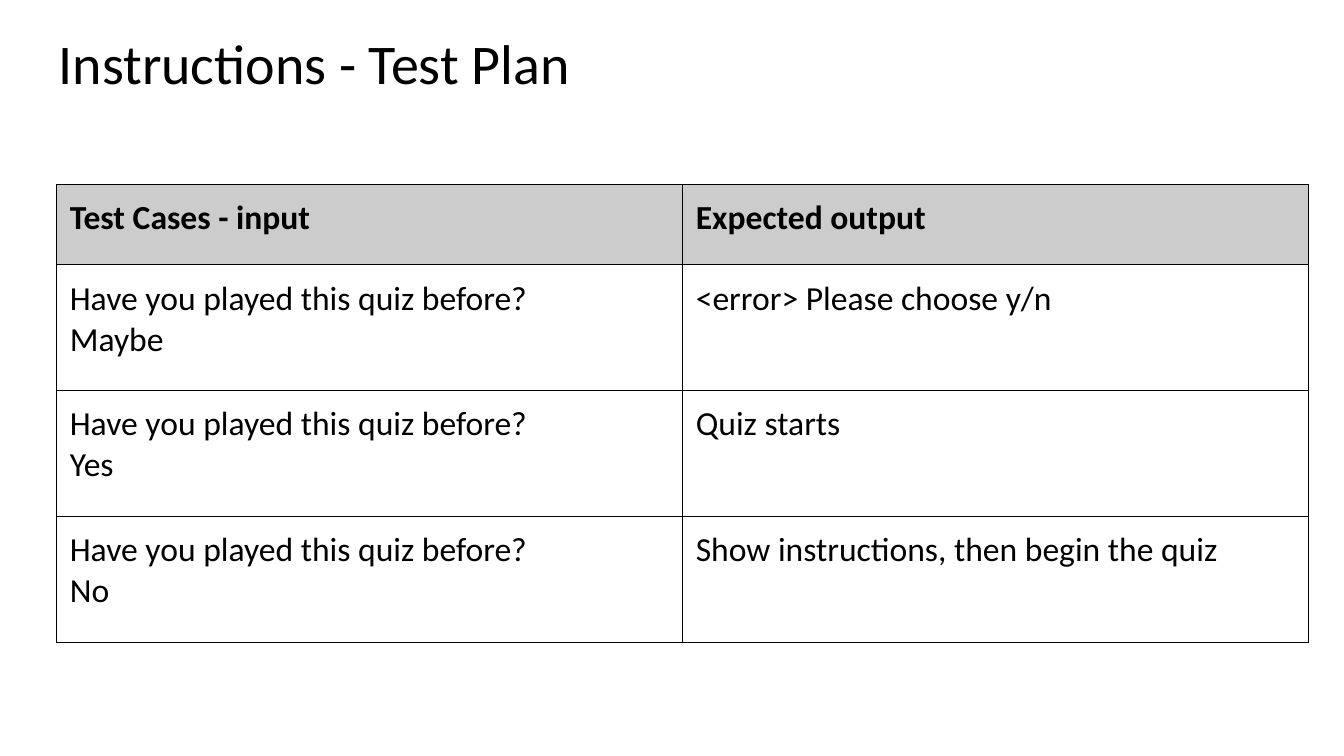
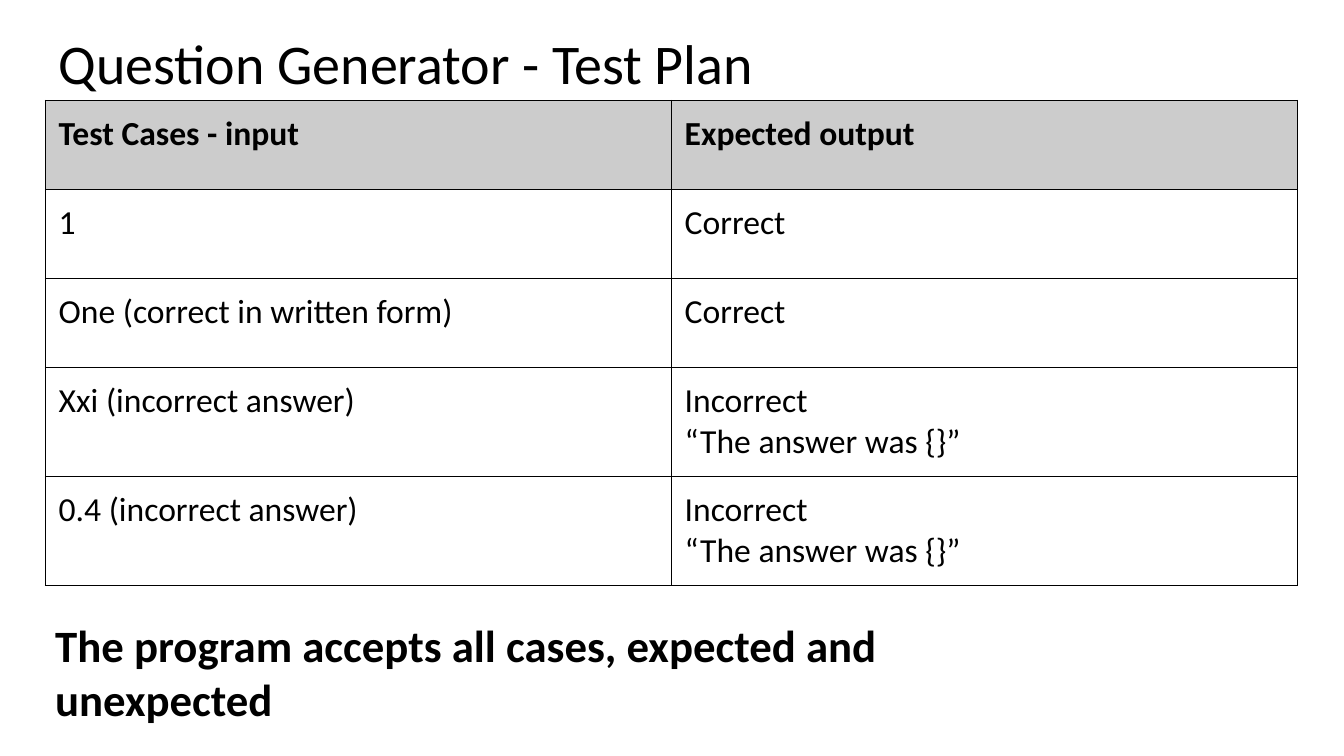
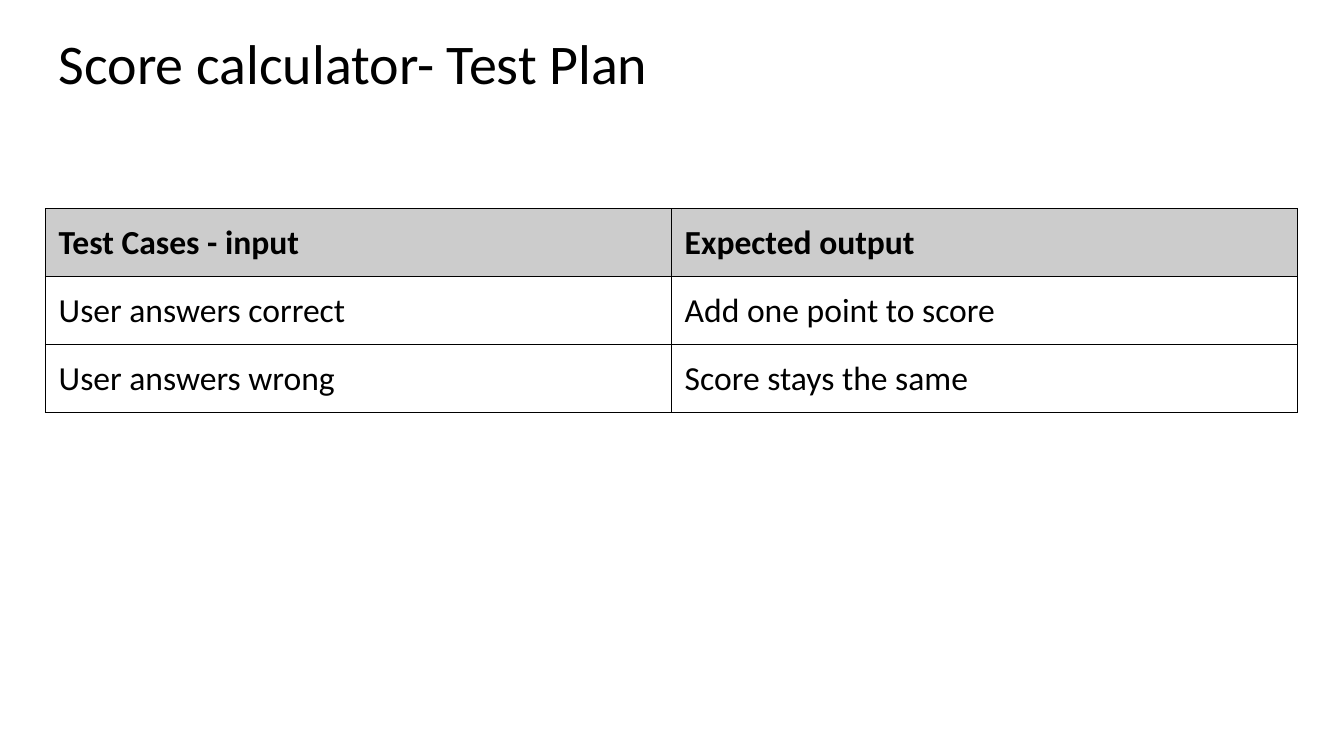
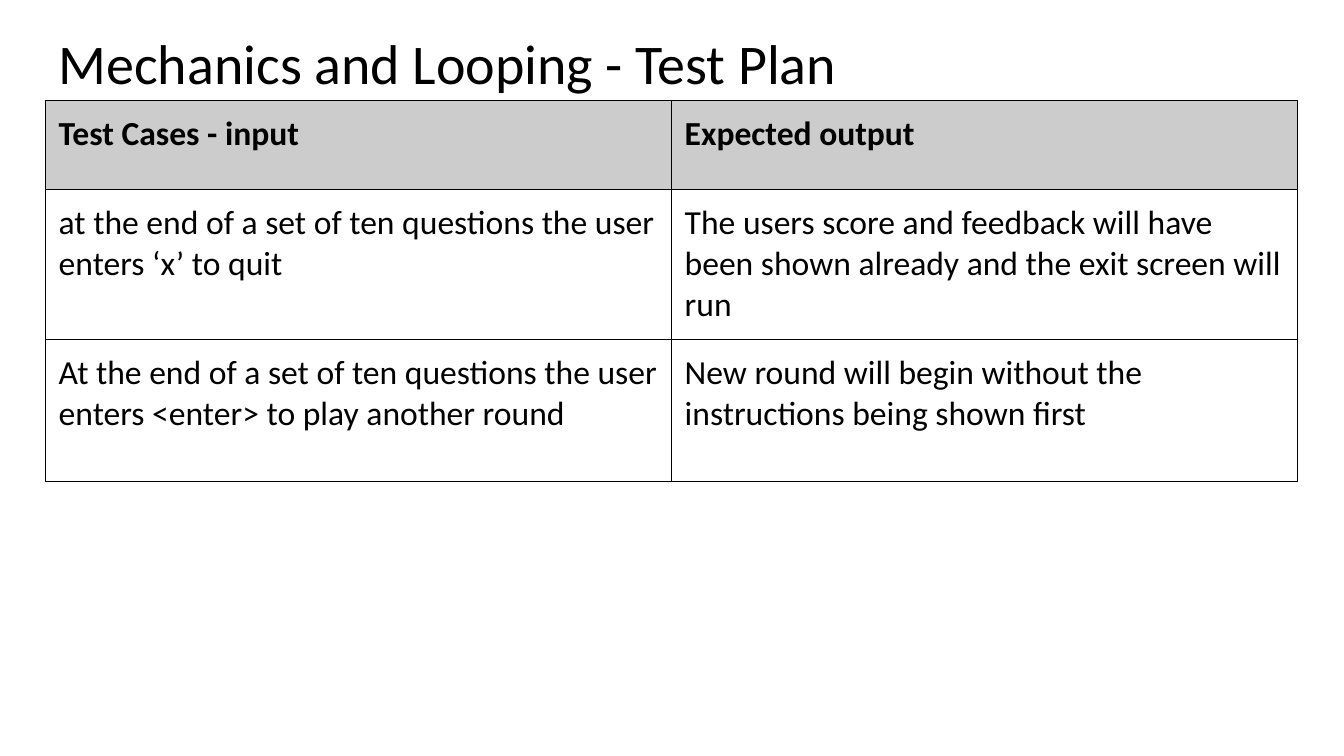
from collections import namedtuple
from dataclasses import dataclass

from lxml import etree
from pptx import Presentation
from pptx.dml.color import RGBColor
from pptx.enum.text import MSO_ANCHOR, MSO_AUTO_SIZE, PP_ALIGN
from pptx.oxml.ns import qn
from pptx.util import Cm, Pt

LEFT = PP_ALIGN.LEFT
TOP, MIDDLE = MSO_ANCHOR.TOP, MSO_ANCHOR.MIDDLE
NO_AUTOFIT, GROW = MSO_AUTO_SIZE.NONE, MSO_AUTO_SIZE.SHAPE_TO_FIT_TEXT
TITLE_ONLY = 5

Box = namedtuple("Box", "left top width height")


@dataclass(frozen=True)
class Theme:
    font: str = "Calibri"
    ink: RGBColor = RGBColor(0x00, 0x00, 0x00)
    header_fill: RGBColor = RGBColor(0xCC, 0xCC, 0xCC)
    cell_fill: RGBColor = RGBColor(0xFF, 0xFF, 0xFF)
    title_size: int = Pt(40)
    table_size: int = Pt(24)
    note_size: int = Pt(32)
    border: int = Pt(0.75)
    inset: int = Cm(0.34)


THEME = Theme()
TITLE_BOX = Box(Cm(1.14), Cm(0.61), Cm(31.55), Cm(2.13))
NOTE_BOX = Box(Cm(1.14), Cm(15.44), Cm(21.9), Cm(3))
TABLE_WIDTH = Cm(31.55)
HEADINGS = ("Test Cases - input", "Expected output")
PLAYED = "Have you played this quiz before?\n"
WRONG = "Incorrect\n“The answer was {}”"

# Each plan: title, table left and top, row heights, test cases, closing note
PLANS = [
    dict(
        title="Instructions - Test Plan",
        left=Cm(1.42), top=Cm(4.65), header_height=Cm(2.02), row_height=Cm(3.17),
        cases=[
            (PLAYED + "Maybe", "<error> Please choose y/n"),
            (PLAYED + "Yes", "Quiz starts"),
            (PLAYED + "No", "Show instructions, then begin the quiz"),
        ],
    ),
    dict(
        title="Question Generator - Test Plan",
        left=Cm(1.14), top=Cm(2.53), header_height=Cm(2.24), row_height=Cm(2.24),
        cases=[
            ("1", "Correct"),
            ("One (correct in written form)", "Correct"),
            ("Xxi (incorrect answer)", WRONG),
            ("0.4 (incorrect answer)", WRONG),
        ],
        note="The program accepts all cases, expected and unexpected",
    ),
    dict(
        title="Score calculator- Test Plan",
        left=Cm(1.14), top=Cm(5.26), header_height=Cm(1.71), row_height=Cm(1.71),
        cases=[
            ("User answers correct", "Add one point to score"),
            ("User answers wrong", "Score stays the same"),
        ],
    ),
    dict(
        title="Mechanics and Looping - Test Plan",
        left=Cm(1.14), top=Cm(2.53), header_height=Cm(2.24), row_height=Cm(3.59),
        cases=[
            ("at the end of a set of ten questions the user enters ‘x’ to quit",
             "The users score and feedback will have been shown already "
             "and the exit screen will run"),
            ("At the end of a set of ten questions the user enters <enter> "
             "to play another round",
             "New round will begin without the instructions being shown first"),
        ],
    ),
]


def set_attributes(target, values):
    for name, value in values.items():
        setattr(target, name, value)


def insets(size):
    return {f"margin_{side}": size for side in ("left", "top", "right", "bottom")}


def write_text(text_frame, text, size, bold=False, line_spacing=1.0):
    """Fill a text frame, one paragraph per line of text."""
    text_frame.text = text
    for paragraph in text_frame.paragraphs:
        set_attributes(paragraph, dict(alignment=LEFT, line_spacing=line_spacing))
        for run in paragraph.runs:
            set_attributes(run.font, dict(name=THEME.font, size=size, bold=bold))
            run.font.color.rgb = THEME.ink


def add_title(slide, box, text):
    title = slide.shapes.title
    set_attributes(title, box._asdict())
    set_attributes(title.text_frame, dict(
        insets(THEME.inset), vertical_anchor=MIDDLE, word_wrap=True,
        auto_size=NO_AUTOFIT))
    write_text(title.text_frame, text, THEME.title_size, line_spacing=0.9)


def add_borders(cell):
    properties = cell._tc.get_or_add_tcPr()
    for edge in ("a:lnL", "a:lnR", "a:lnT", "a:lnB"):
        line = etree.SubElement(properties, qn(edge), w=str(THEME.border))
        fill = etree.SubElement(line, qn("a:solidFill"))
        etree.SubElement(fill, qn("a:srgbClr"), val=str(THEME.ink))


def format_cell(cell, text, is_header):
    set_attributes(cell, dict(insets(THEME.inset), vertical_anchor=TOP))
    write_text(cell.text_frame, text, THEME.table_size, bold=is_header)
    add_borders(cell)
    cell.fill.solid()
    cell.fill.fore_color.rgb = THEME.header_fill if is_header else THEME.cell_fill


def add_test_table(slide, box, header_height, row_height, cases):
    rows = [HEADINGS, *cases]
    table = slide.shapes.add_table(len(rows), len(HEADINGS), *box).table
    set_attributes(table, dict(first_row=False, horz_banding=False))
    for column in table.columns:
        column.width = box.width // len(HEADINGS)
    for index, texts in enumerate(rows):
        is_header = index == 0
        table.rows[index].height = header_height if is_header else row_height
        for cell, text in zip(table.rows[index].cells, texts):
            format_cell(cell, text, is_header)


def add_note(slide, box, text):
    text_frame = slide.shapes.add_textbox(*box).text_frame
    set_attributes(text_frame, dict(word_wrap=True, auto_size=GROW))
    write_text(text_frame, text, THEME.note_size, bold=True)


def add_plan_slide(presentation, title, left, top, header_height, row_height,
                   cases, note=None):
    slide = presentation.slides.add_slide(presentation.slide_layouts[TITLE_ONLY])
    add_title(slide, TITLE_BOX, title)
    table_box = Box(left, top, TABLE_WIDTH, header_height + row_height * len(cases))
    add_test_table(slide, table_box, header_height, row_height, cases)
    if note:
        add_note(slide, NOTE_BOX, note)


def main():
    presentation = Presentation()
    set_attributes(presentation, dict(slide_width=Cm(33.87), slide_height=Cm(19.05)))
    for plan in PLANS:
        add_plan_slide(presentation, **plan)
    presentation.save("out.pptx")


if __name__ == "__main__":
    main()
